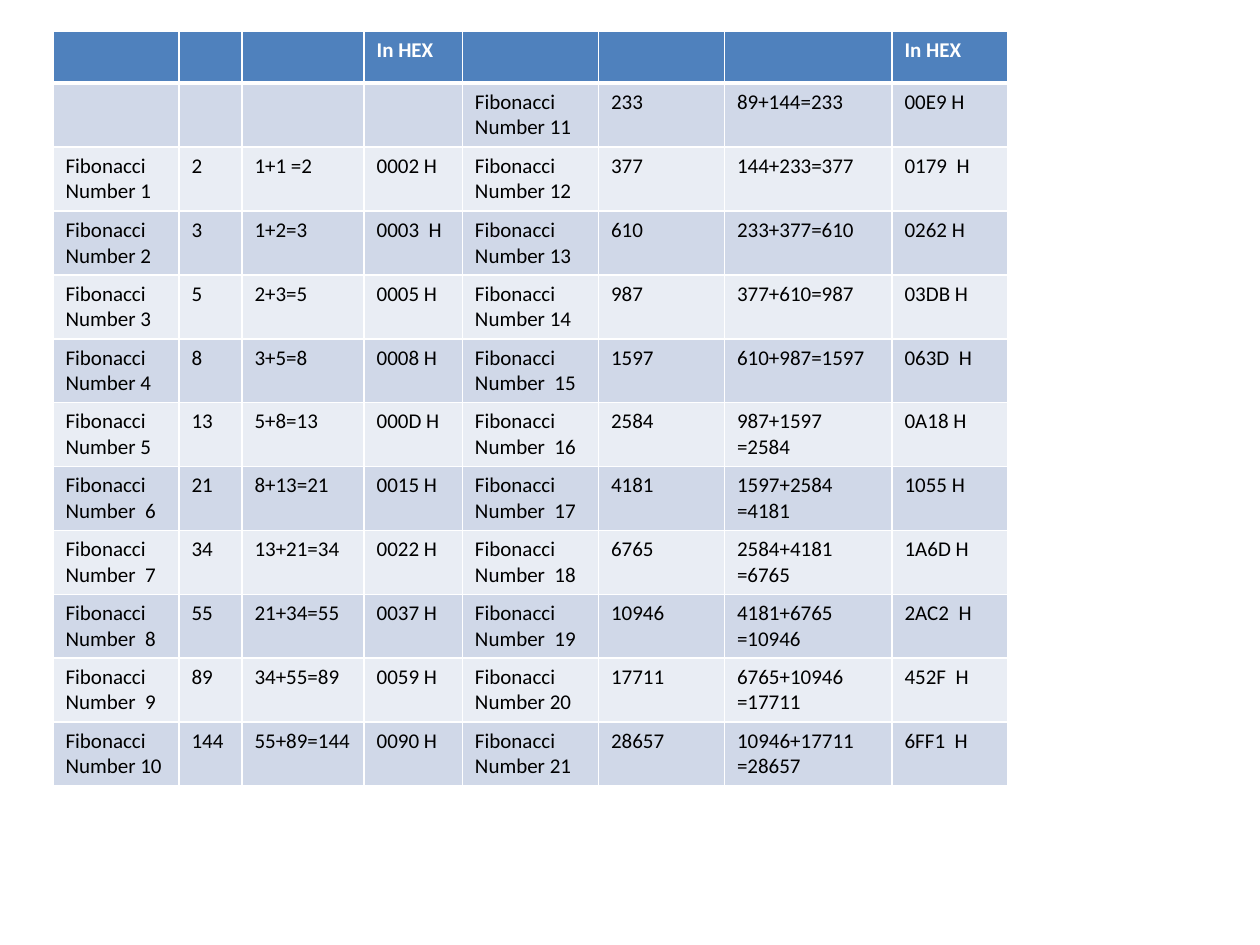
"""Build a slide with a table of Fibonacci numbers, their sums and hexadecimal values."""
from typing import NamedTuple

from lxml import etree
from pptx import Presentation
from pptx.dml.color import RGBColor
from pptx.oxml import ns
from pptx.util import Inches, Pt

COLORS = {
    "header": "4F81BD",
    "dark_band": "D0D8E8",
    "light_band": "E9EDF4",
    "border": "FFFFFF",
    "header_text": "FFFFFF",
    "body_text": "000000",
}
COLUMN_WIDTHS = (1, 0.5, 0.97, 0.78, 1.08, 1, 1.33, 0.92)
ROW_HEIGHTS = (0.41, 0.41, 0.51) + (0.41,) * 9
WIDE_LABELS = {6, 7, 8, 9, 15, 16, 17, 18, 19}
WIDE_HEX = {2, 12, 15, 19, 20, 21}
FIRST_SPLIT_SUM = 16
HALF = 10
BLANK = ("",) * 4
HEADER = ("", "", "", "In HEX")


class Entry(NamedTuple):
    """One Fibonacci number with the two numbers that add up to it."""

    index: int
    first: int
    second: int

    def texts(self) -> tuple[str, ...]:
        """Return the texts of the four cells of this entry."""
        value = self.first + self.second
        label_gap = "  " if self.index in WIDE_LABELS else " "
        hex_gap = "  " if self.index in WIDE_HEX else " "
        sum_gap = "\n" if self.index >= FIRST_SPLIT_SUM else " " if self.index == 1 else ""
        return (
            f"Fibonacci Number{label_gap}{self.index}",
            str(value),
            f"{self.first}+{self.second}{sum_gap}={value}",
            f"{value:04X}{hex_gap}H",
        )


def fibonacci_entries(count: int) -> list[Entry]:
    """Return the first entries of the sequence, starting from 1+1."""
    entries, first, second = [], 1, 1
    for index in range(1, count + 1):
        entries.append(Entry(index, first, second))
        first, second = second, first + second
    return entries


def write_text(cell, content: str, *, color: str, bold: bool = False,
               size: float = 12, font: str = "Calibri") -> None:
    """Write one paragraph per line of content into a cell."""
    cell.text_frame.text = content
    for paragraph in cell.text_frame.paragraphs:
        for run in paragraph.runs:
            run.font.name = font
            run.font.size = Pt(size)
            run.font.bold = bold
            run.font.color.rgb = RGBColor.from_string(color)


def set_borders(cell, *, top: float = 1, bottom: float = 1) -> None:
    """Draw the four borders of a cell, with widths in points."""
    properties = cell._tc.get_or_add_tcPr()
    widths = {"lnL": 1, "lnR": 1, "lnT": top, "lnB": bottom}
    for position, (tag, width) in enumerate(widths.items()):
        line = etree.Element(ns.qn(f"a:{tag}"), w=str(Pt(width)))
        fill = etree.SubElement(line, ns.qn("a:solidFill"))
        etree.SubElement(fill, ns.qn("a:srgbClr"), val=COLORS["border"])
        properties.insert(position, line)


def draw_row(table, row: int, texts: tuple[str, ...]) -> None:
    """Fill one table row with its texts, band colour and borders."""
    is_header = row == 0
    band = "header" if is_header else "dark_band" if row % 2 else "light_band"
    text_color = COLORS["header_text" if is_header else "body_text"]
    for column, content in enumerate(texts):
        cell = table.cell(row, column)
        cell.fill.solid()
        cell.fill.fore_color.rgb = RGBColor.from_string(COLORS[band])
        set_borders(cell, top=3 if row == 1 else 1, bottom=3 if is_header else 1)
        if content:
            write_text(cell, content, color=text_color, bold=is_header)


def main() -> None:
    """Create the presentation and save it."""
    presentation = Presentation()
    presentation.slide_width, presentation.slide_height = Inches(10), Inches(7.5)
    slide = presentation.slides.add_slide(presentation.slide_layouts[6])

    cells = [entry.texts() for entry in fibonacci_entries(2 * HALF + 1)]
    left_half = [HEADER, BLANK, *cells[:HALF]]
    right_half = [HEADER, *cells[HALF:]]

    shape = slide.shapes.add_table(
        len(ROW_HEIGHTS), len(COLUMN_WIDTHS),
        Inches(0.42), Inches(0.25), Inches(7.58), Inches(5.92))
    table = shape.table
    for column, width in zip(table.columns, COLUMN_WIDTHS):
        column.width = Inches(width)
    for row, height in zip(table.rows, ROW_HEIGHTS):
        row.height = Inches(height)
    shape.height = Inches(5.92)
    for row, (left, right) in enumerate(zip(left_half, right_half)):
        draw_row(table, row, left + right)

    presentation.save("out.pptx")


if __name__ == "__main__":
    main()
